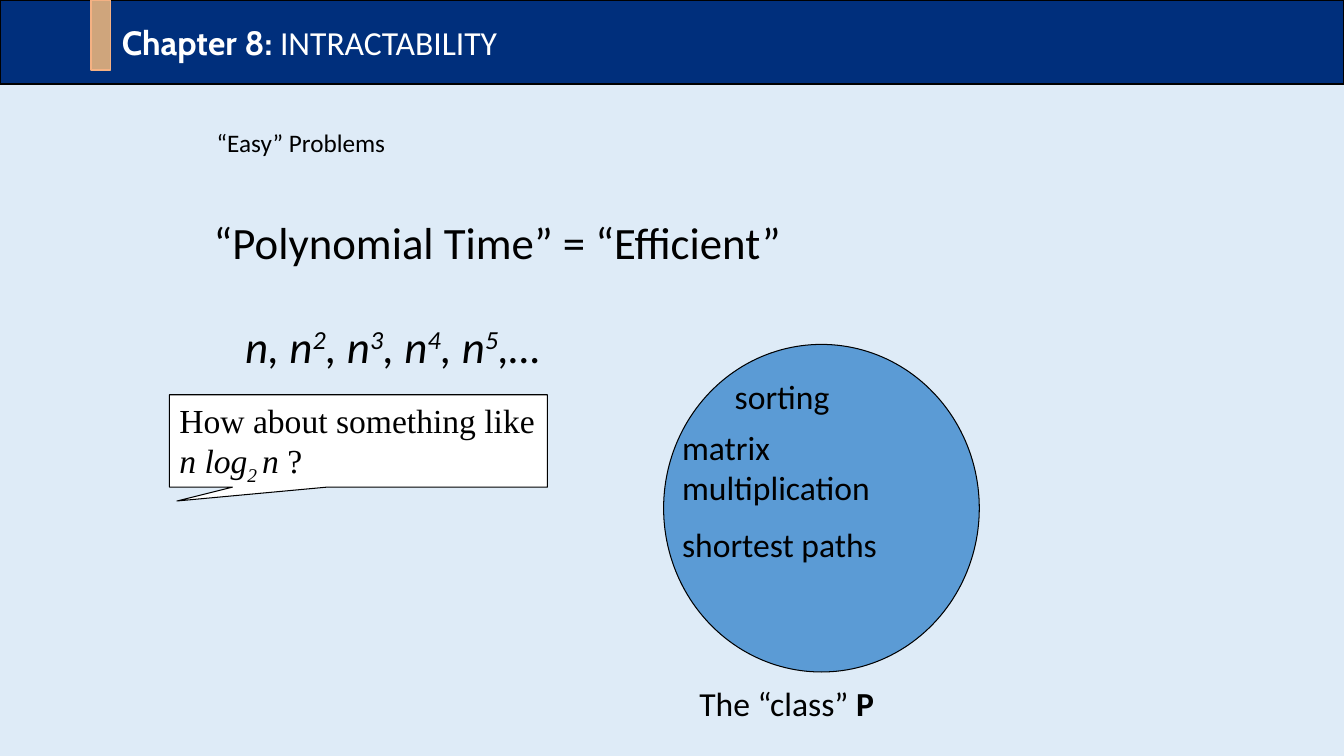
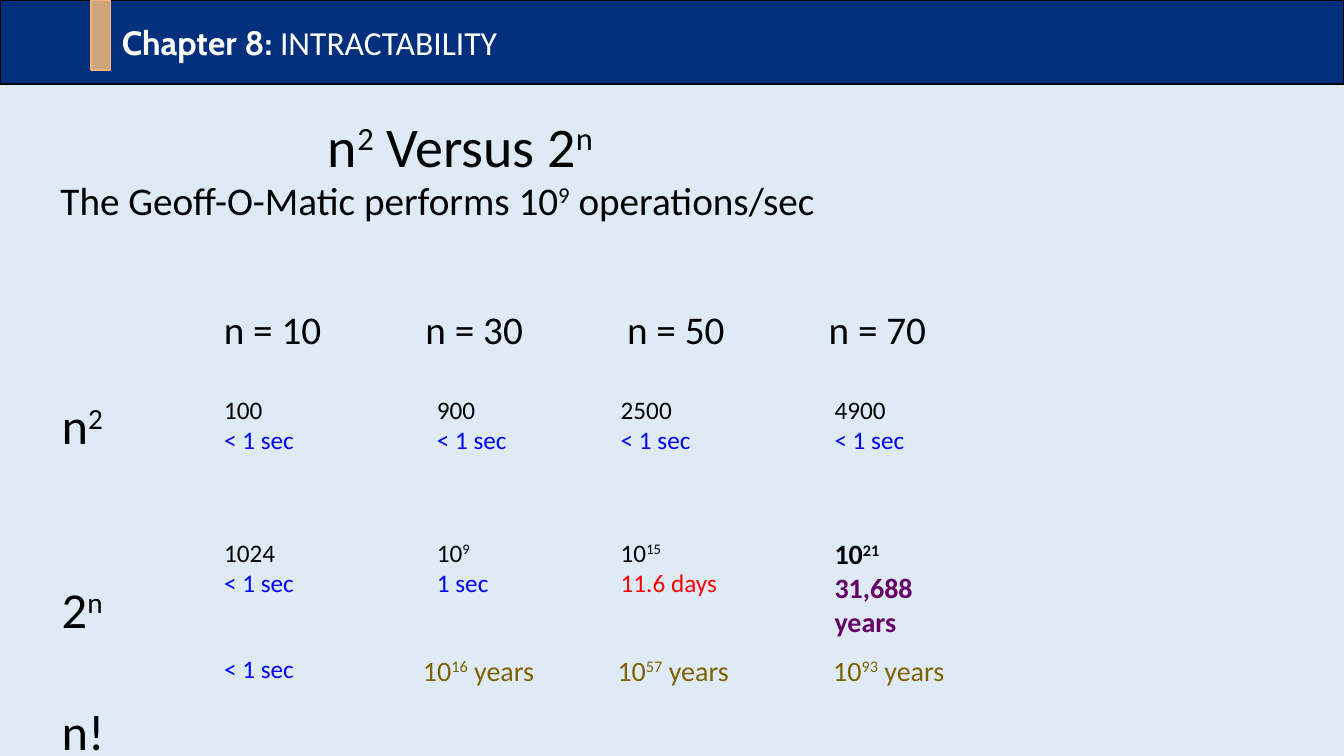
"""Build two slides on easy problems and growth rates."""
from dataclasses import dataclass
from typing import Any, NamedTuple

import lxml.etree
import pptx
import pptx.dml.color
import pptx.enum.shapes
import pptx.enum.text
import pptx.oxml.ns
import pptx.slide
import pptx.text.text
import pptx.util

RGBColor = pptx.dml.color.RGBColor
Pt = pptx.util.Pt
Shape = pptx.enum.shapes.MSO_SHAPE
Anchor = pptx.enum.text.MSO_ANCHOR

PALE = RGBColor(0xDE, 0xEB, 0xF7)
NAVY = RGBColor(0x00, 0x2F, 0x7C)
TAN = RGBColor(0xCF, 0xA5, 0x7C)
PEACH = RGBColor(0xF4, 0xB1, 0x83)
SKY = RGBColor(0x5B, 0x9B, 0xD5)
BLACK = RGBColor(0x00, 0x00, 0x00)
WHITE = RGBColor(0xFF, 0xFF, 0xFF)
BLUE = RGBColor(0x00, 0x00, 0xFF)
RED = RGBColor(0xFF, 0x00, 0x00)
PLUM = RGBColor(0x66, 0x00, 0x66)
OLIVE = RGBColor(0x80, 0x60, 0x00)
SERIF = "Times New Roman"


class Box(NamedTuple):
    """Left, top, width and height in points."""
    left: float
    top: float
    width: float
    height: float


@dataclass
class Span:
    """A run of text in one style."""
    text: str
    size: float = 18
    color: RGBColor = BLACK
    bold: bool = False
    slant: bool = False
    font: str = "Calibri"
    base: int = 0


@dataclass
class Para:
    """A paragraph with its space before and line spacing."""
    spans: list[Span]
    gap: float = 0
    lead: float = 1.0


@dataclass
class Cell:
    """A text cell placed by its corner."""
    left: float
    top: float
    paras: list[Para]


def para(text: str, size: float = 18, color: RGBColor = BLACK, bold: bool = False,
         slant: bool = False, gap: float = 0, lead: float = 1.0) -> Para:
    """Make a paragraph in which carets enclose superscripts."""
    parts = enumerate(text.split("^"))
    spans = [Span(part, size, color, bold, slant, base=30 * (i % 2))
             for i, part in parts if part]
    return Para(spans, gap, lead)


def write(frame: pptx.text.text.TextFrame, paras: list[Para],
          anchor: Any = Anchor.TOP) -> None:
    """Fill a text frame run by run."""
    frame.word_wrap = True
    frame.auto_size = pptx.enum.text.MSO_AUTO_SIZE.NONE
    frame.vertical_anchor = anchor
    for i, item in enumerate(paras):
        line = frame.add_paragraph() if i else frame.paragraphs[0]
        props = line._p.get_or_add_pPr()
        props.set("marL", "0")
        props.set("indent", "0")
        lxml.etree.SubElement(props, pptx.oxml.ns.qn("a:buNone"))
        line.alignment = pptx.enum.text.PP_ALIGN.LEFT
        line.space_before = Pt(item.gap)
        line.line_spacing = item.lead
        for span in item.spans:
            run = line.add_run()
            run.text = span.text
            font = run.font
            font.name, font.size = span.font, Pt(span.size)
            font.bold, font.italic = span.bold, span.slant
            font.color.rgb = span.color
            if span.base:
                run._r.get_or_add_rPr().set("baseline", str(span.base * 1000))


def label(slide: pptx.slide.Slide, box: Box, *paras: Para) -> None:
    """Add a text box."""
    write(slide.shapes.add_textbox(*map(Pt, box)).text_frame, list(paras))


def place(holder: Any, box: Box, *paras: Para) -> None:
    """Move and fill a placeholder."""
    holder.left, holder.top, holder.width, holder.height = map(Pt, box)
    write(holder.text_frame, list(paras))


def block(slide: pptx.slide.Slide, kind: Any, box: Box, fill: RGBColor,
          edge: RGBColor = BLACK, weight: float = 0.75) -> Any:
    """Add a filled and outlined shape."""
    shape = slide.shapes.add_shape(kind, *map(Pt, box))
    shape.shadow.inherit = False
    shape.fill.solid()
    shape.fill.fore_color.rgb = fill
    shape.line.color.rgb = edge
    shape.line.width = Pt(weight)
    return shape


def start(deck: Any) -> pptx.slide.Slide:
    """Add a slide with the chapter band."""
    slide = deck.slides.add_slide(deck.slide_layouts[1])
    band = block(slide, Shape.RECTANGLE, Box(0, 0, 960, 60), NAVY, weight=1)
    band.text_frame.margin_left = Pt(87)
    write(band.text_frame, [Para([
        Span("Chapter 8: ", 24, WHITE, bold=True, font="Cabin"),
        Span("INTRACTABILITY", 24, WHITE)])], Anchor.MIDDLE)
    block(slide, Shape.RECTANGLE, Box(65, 0, 14, 50), TAN, PEACH, 1)
    return slide


def easy(deck: Any) -> None:
    """Build the slide on polynomial time."""
    slide = start(deck)
    place(slide.shapes.title, Box(147.6, 87, 480, 29), para("“Easy” Problems"))
    label(slide, Box(145.5, 150, 444, 45),
          para("“Polynomial Time” = “Efficient”", 32))
    label(slide, Box(168, 224, 262, 45),
          para("n, n^2^, n^3^, n^4^, n^5^,…", 32, slant=True))
    note = block(slide, Shape.RECTANGULAR_CALLOUT, Box(121, 282, 270, 66), WHITE)
    note.adjustments[0], note.adjustments[1] = -0.48, 0.65
    write(note.text_frame, [Para([
        Span("How about something like ", 24, font=SERIF),
        Span("n log", 24, slant=True, font=SERIF),
        Span("2 ", 24, slant=True, font=SERIF, base=-25),
        Span("n ", 24, slant=True, font=SERIF),
        Span("?", 24, font=SERIF)])])
    block(slide, Shape.OVAL, Box(474, 246, 225.5, 234), SKY)
    label(slide, Box(492.5, 484, 155.5, 36),
          Para([Span("The “class” ", 24), Span("P", 24, bold=True)]))
    label(slide, Box(517.7, 265, 118, 36), para("sorting", 24))
    body = slide.placeholders[1]
    place(body, Box(480, 301, 168, 109), para("matrix multiplication", 24),
          para("shortest paths", 24, gap=12))
    slide.shapes._spTree.append(body._element)


def growth(deck: Any) -> None:
    """Build the slide on running times."""
    slide = start(deck)
    place(slide.shapes.title, Box(227, 76, 500, 50), para("n^2^ Versus 2^n^", 40))
    place(slide.placeholders[1], Box(36, 126, 648, 50),
          para("The Geoff-O-Matic performs 10^9^ operations/sec", 28, lead=0.9))
    label(slide, Box(37, 278, 71, 225), para("n^2^", 36),
          para("2^n^", 36, gap=88), para("n!", 36, gap=44))
    for i, size in enumerate((10, 30, 50, 70)):
        label(slide, Box(152.8 + 144 * i, 214.5, 120, 41), para(f"n = {size}", 28))

    cols = (153, 305, 436.3, 589)
    fast = para("< 1 sec", color=BLUE)
    cells = [Cell(x, 278, [para(count), fast])
             for x, count in zip(cols, ("100", "900", "2500", "4900"))]
    powers = (
        [para("1024"), fast],
        [para("10^9^"), para("1 sec", color=BLUE)],
        [para("10^15^"), para("11.6 days", color=RED)],
        [para("10^21^", 20, bold=True), para("31,688 years", 20, PLUM, True)],
    )
    cells += [Cell(x, 380, paras) for x, paras in zip(cols, powers)]
    cells.append(Cell(cols[0], 463, [fast]))
    cells += [Cell(x, 463, [para(f"10^{power}^ years", 20, OLIVE)])
              for x, power in ((295, 16), (434, 57), (588, 93))]
    for cell in cells:
        label(slide, Box(cell.left, cell.top, 104, 29 * len(cell.paras)), *cell.paras)


def main() -> None:
    """Build and save the deck."""
    deck = pptx.Presentation()
    deck.slide_width, deck.slide_height = Pt(960), Pt(540)
    back = deck.slide_master.background.fill
    back.solid()
    back.fore_color.rgb = PALE
    easy(deck)
    growth(deck)
    deck.save("out.pptx")


if __name__ == "__main__":
    main()
